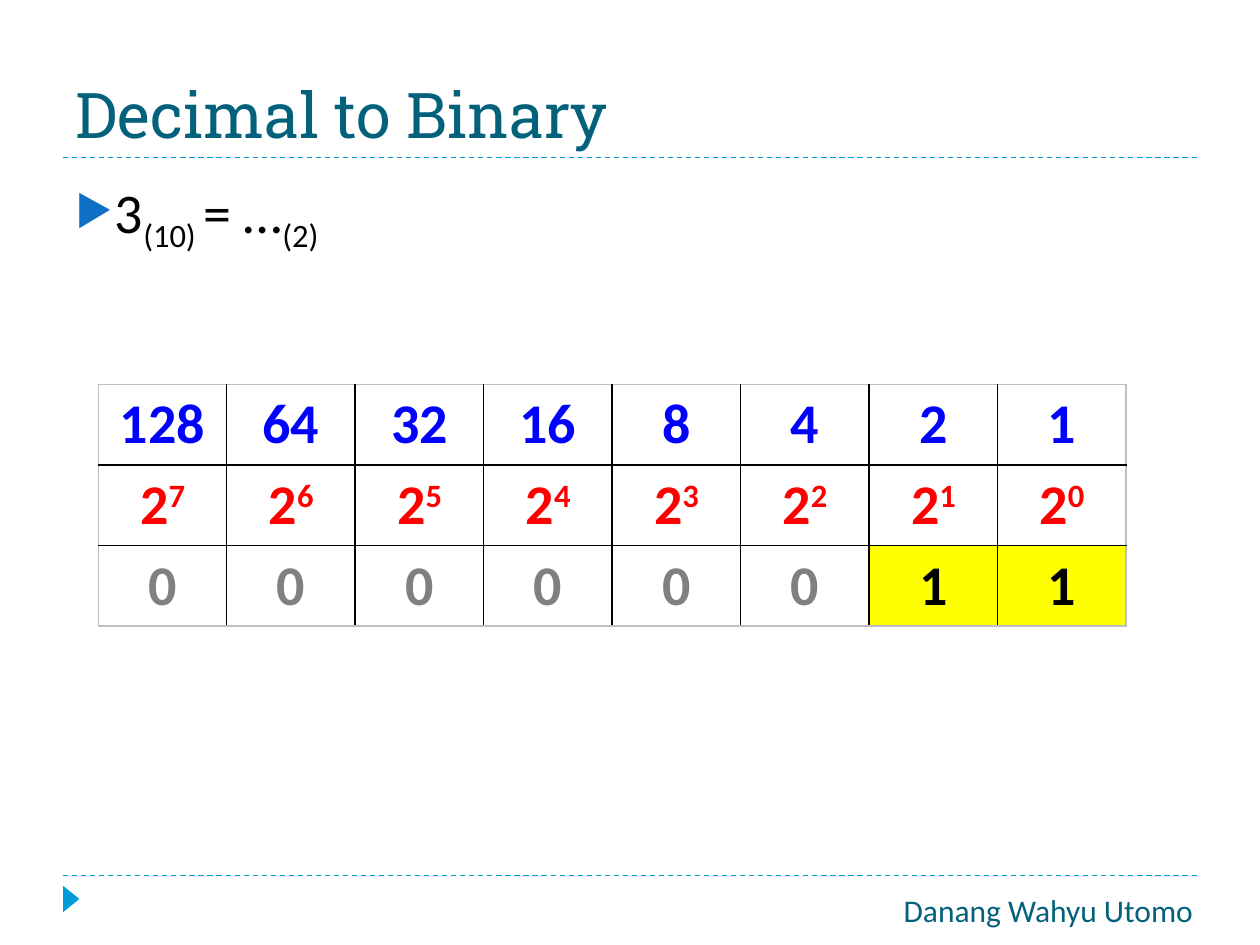
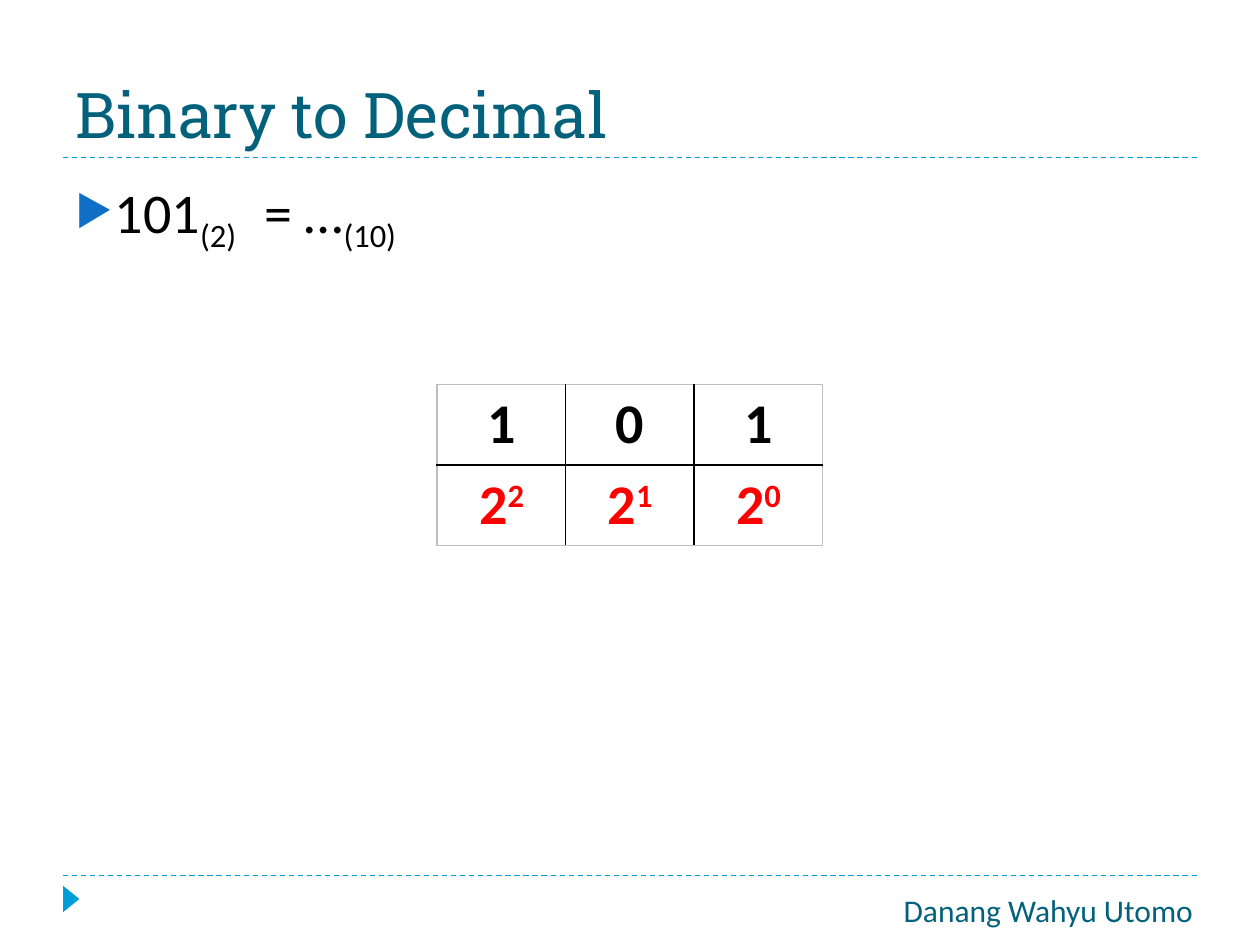
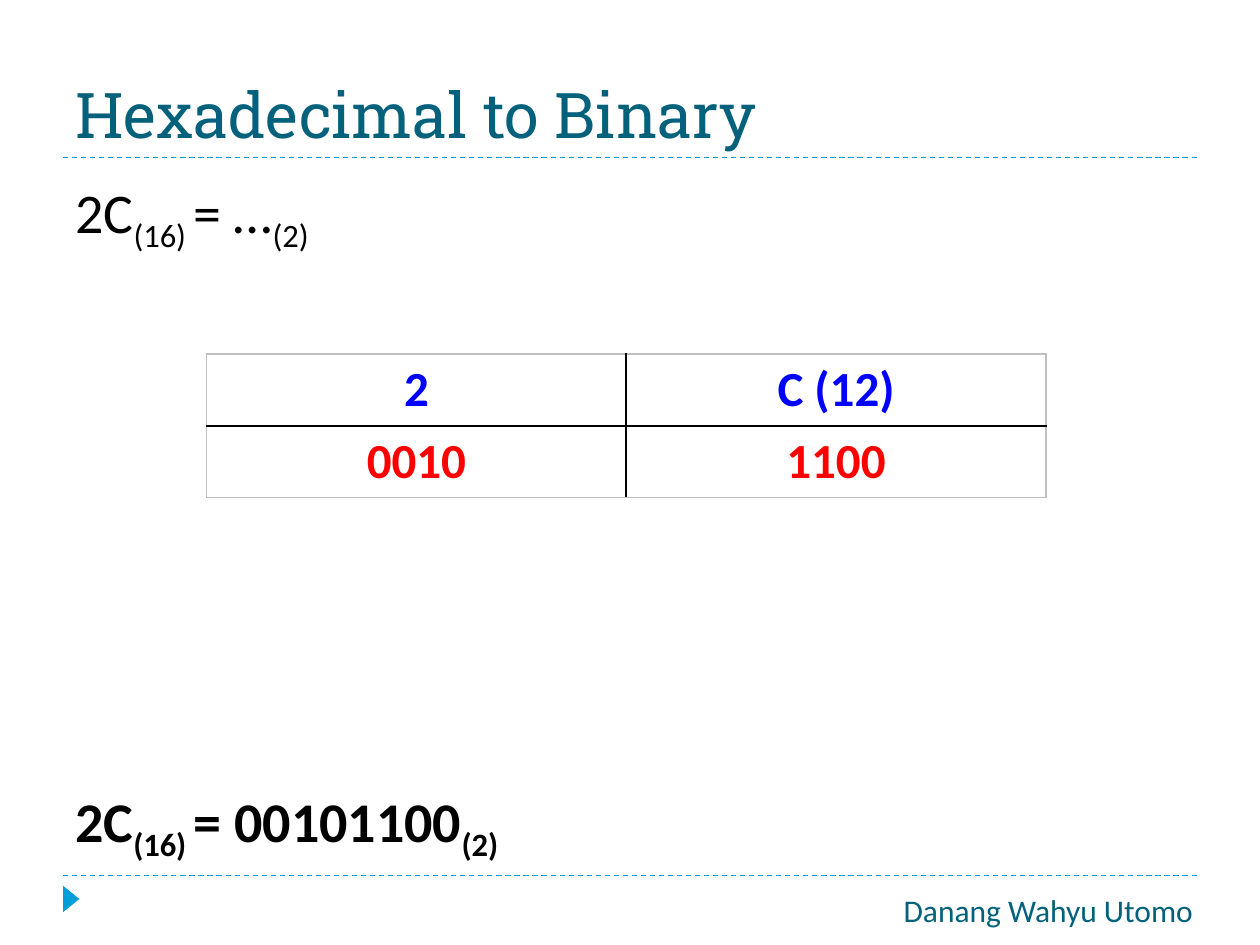
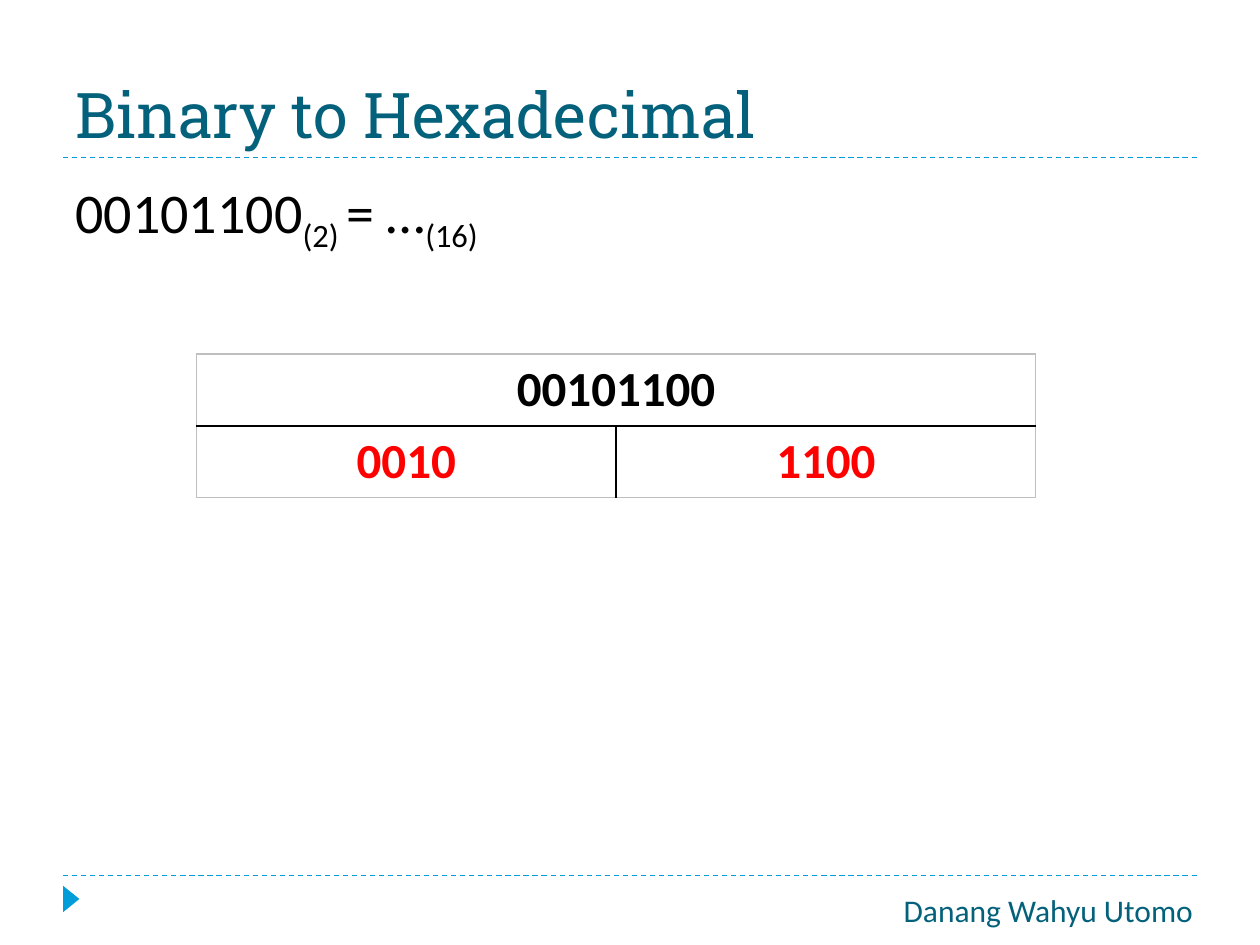
from dataclasses import dataclass

from lxml import etree
from pptx import Presentation
from pptx import util as u
from pptx.dml.color import RGBColor
from pptx.enum import dml, shapes, text
from pptx.oxml.ns import qn


@dataclass(frozen=True)
class Theme:
    head_font: str = "Roboto Slab"
    body_font: str = "Calibri"
    title: str = "04617B"
    accent: str = "009DD9"
    bullet: str = "0F6FC6"
    ink: str = "000000"
    blue: str = "0000FF"
    red: str = "FF0000"
    gray: str = "808080"
    edge: str = "BFBFBF"
    mark: str = "FFFF00"
    title_pt: int = 36
    body_pt: int = 32
    cell_pt: int = 28
    footer_pt: int = 18


T = Theme()
SUB, SUP = -25, 30
TITLE_BOX = (0.5, 0.17, 9, 1.08)
BODY_BOX = (0.5, 1.33, 9, 5.4)
FOOTER_BOX = (0.5, 6.95, 9, 0.55)
ANSWER_GAP = 304  # points between the question and the answer


def rgb(color):
    return RGBColor.from_string(color)


def inches(*values):
    return [u.Inches(v) for v in values]


def style(font, size, color, name=T.body_font, bold=False):
    font.size, font.name, font.bold = u.Pt(size), name, bold
    font.color.rgb = rgb(color)


def add_runs(p, runs, size, color, bold=False):
    """Each run is (text, baseline shift in percent)."""
    for words, shift in runs:
        r = p.add_run()
        r.text = words
        style(r.font, size, color, bold=bold)
        if shift:
            r._r.get_or_add_rPr().set("baseline", str(shift * 1000))


def add_box(s, box):
    tf = s.shapes.add_textbox(*inches(*box)).text_frame
    tf.word_wrap = True
    return tf


def add_rule(s, x, y, w):
    ln = s.shapes.add_connector(shapes.MSO_CONNECTOR.STRAIGHT,
                                *inches(x, y, x + w, y))
    ln.line.color.rgb = rgb(T.accent)
    ln.line.width = u.Pt(0.75)
    ln.line.dash_style = dml.MSO_LINE.DASH
    etree.SubElement(ln._element.spPr, qn("a:effectLst"))


def add_title(s, box, words):
    x, y, w, h = box
    tf = add_box(s, box)
    tf.vertical_anchor = text.MSO_ANCHOR.BOTTOM
    tf.text = words
    style(tf.paragraphs[0].runs[0].font, T.title_pt, T.title, T.head_font)
    add_rule(s, x, y + h, w)


def add_footer(s, box):
    x, y, w, h = box
    add_rule(s, x, y, w)
    # Arrow
    sp = s.shapes.add_shape(shapes.MSO_SHAPE.ISOSCELES_TRIANGLE,
                            *inches(x - 0.04, y + 0.12, 0.21, 0.13))
    sp.rotation = 90
    sp.shadow.inherit = False
    sp.fill.solid()
    sp.fill.fore_color.rgb = rgb(T.accent)
    sp.line.fill.background()
    # Author
    tf = add_box(s, (x + 6.22, y + 0.07, 3.2, 0.4))
    tf.text = "Danang Wahyu Utomo"
    p = tf.paragraphs[0]
    p.alignment = text.PP_ALIGN.CENTER
    style(p.runs[0].font, T.footer_pt, T.title)


def set_indent(p, bullet):
    pPr = p._p.get_or_add_pPr()
    pPr.set("marL", str(u.Inches(0.3)))
    pPr.set("indent", str(u.Inches(-0.3)))
    if bullet:
        clr = etree.SubElement(pPr, qn("a:buClr"))
        etree.SubElement(clr, qn("a:srgbClr"), val=T.bullet)
        etree.SubElement(pPr, qn("a:buSzPct"), val="76000")
        etree.SubElement(pPr, qn("a:buChar"), char="▶")
    else:
        etree.SubElement(pPr, qn("a:buNone"))


def add_body(s, box, question, answer=None, bullet=False):
    tf = add_box(s, box)
    tf.margin_top = u.Inches(0.08)
    p = tf.paragraphs[0]
    set_indent(p, bullet)
    add_runs(p, question, T.body_pt, T.ink)
    if answer:
        p = tf.add_paragraph()
        set_indent(p, False)
        p.space_before = u.Pt(ANSWER_GAP)
        add_runs(p, answer, T.body_pt, T.ink, bold=True)


def set_borders(cell, outer):
    """outer names the sides (L, R, T, B) on the rim of the table."""
    tcPr = cell._tc.get_or_add_tcPr()
    for side in "LRTB":
        ln = etree.SubElement(tcPr, qn(f"a:ln{side}"), w=str(u.Pt(1)))
        fill = etree.SubElement(ln, qn("a:solidFill"))
        etree.SubElement(fill, qn("a:srgbClr"),
                         val=T.edge if side in outer else T.ink)


def add_grid(s, x, y, col_w, row_h, size, rows, colors, marked=(), merged=()):
    """marked holds (row, column) cells; merged holds rows that span all."""
    n_rows, n_cols = len(rows), len(rows[0])
    tbl = s.shapes.add_table(n_rows, n_cols, *inches(
        x, y, col_w * n_cols, row_h * n_rows)).table
    tbl.first_row = tbl.horz_banding = False
    for col in tbl.columns:
        col.width = u.Inches(col_w)
    for row in tbl.rows:
        row.height = u.Inches(row_h)
    for i in merged:
        tbl.cell(i, 0).merge(tbl.cell(i, n_cols - 1))
    for i, row in enumerate(rows):
        for j, runs in enumerate(row):
            cell = tbl.cell(i, j)
            rim = {"L": j == 0, "T": i == 0, "B": i == n_rows - 1,
                   "R": j == n_cols - 1 or i in merged}
            set_borders(cell, [side for side, on in rim.items() if on])
            color = colors[i]
            if (i, j) in marked:
                cell.fill.solid()
                cell.fill.fore_color.rgb = rgb(T.mark)
                color = T.ink
            else:
                cell.fill.background()
            p = cell.text_frame.paragraphs[0]
            p.alignment = text.PP_ALIGN.CENTER
            add_runs(p, runs, size, color, bold=True)


def plain(*words):
    return [[(w, 0)] if w else [] for w in words]


def powers(count):
    """Powers of two, highest first."""
    return [[("2", 0), (str(n), SUP)] for n in reversed(range(count))]


def equation(left, base, right, to_base, gap=" "):
    return [(left, 0), (f"({base}){gap}", SUB),
            (f"= {right}", 0), (f"({to_base})", SUB)]


def add_slide(prs, title, question, answer=None, bullet=False):
    s = prs.slides.add_slide(prs.slide_layouts[6])
    add_footer(s, FOOTER_BOX)
    add_title(s, TITLE_BOX, title)
    add_body(s, BODY_BOX, question, answer, bullet)
    return s


def main():
    prs = Presentation()
    prs.slide_width, prs.slide_height = inches(10, 7.5)

    # Decimal to binary
    s = add_slide(prs, "Decimal to Binary", equation("3", 10, "…", 2),
                  bullet=True)
    values = [str(2 ** n) for n in reversed(range(8))]
    add_grid(s, 0.78, 3.05, 1.02, 0.64, T.body_pt,
             [plain(*values), powers(8), plain(*"00000011")],
             [T.blue, T.red, T.gray], marked=[(2, 6), (2, 7)])

    # Binary to decimal
    s = add_slide(prs, "Binary to Decimal",
                  equation("101", 2, "…", 10, gap=" \t"), bullet=True)
    add_grid(s, 3.47, 3.05, 1.02, 0.64, T.body_pt,
             [plain(*"101"), powers(3)], [T.ink, T.red])

    # Hexadecimal to binary
    s = add_slide(prs, "Hexadecimal to Binary", equation("2C", 16, "…", 2),
                  answer=equation("2C", 16, "00101100", 2))
    nibbles = plain("0010", "1100")
    add_grid(s, 1.64, 2.81, 3.33, 0.57, T.cell_pt,
             [plain("2", "C (12)"), nibbles], [T.blue, T.red])

    # Binary to hexadecimal
    s = add_slide(prs, "Binary to Hexadecimal",
                  equation("00101100", 2, "…", 16))
    add_grid(s, 1.56, 2.81, 3.33, 0.57, T.cell_pt,
             [plain("00101100", ""), nibbles], [T.ink, T.red], merged=[0])

    prs.save("out.pptx")


if __name__ == "__main__":
    main()
